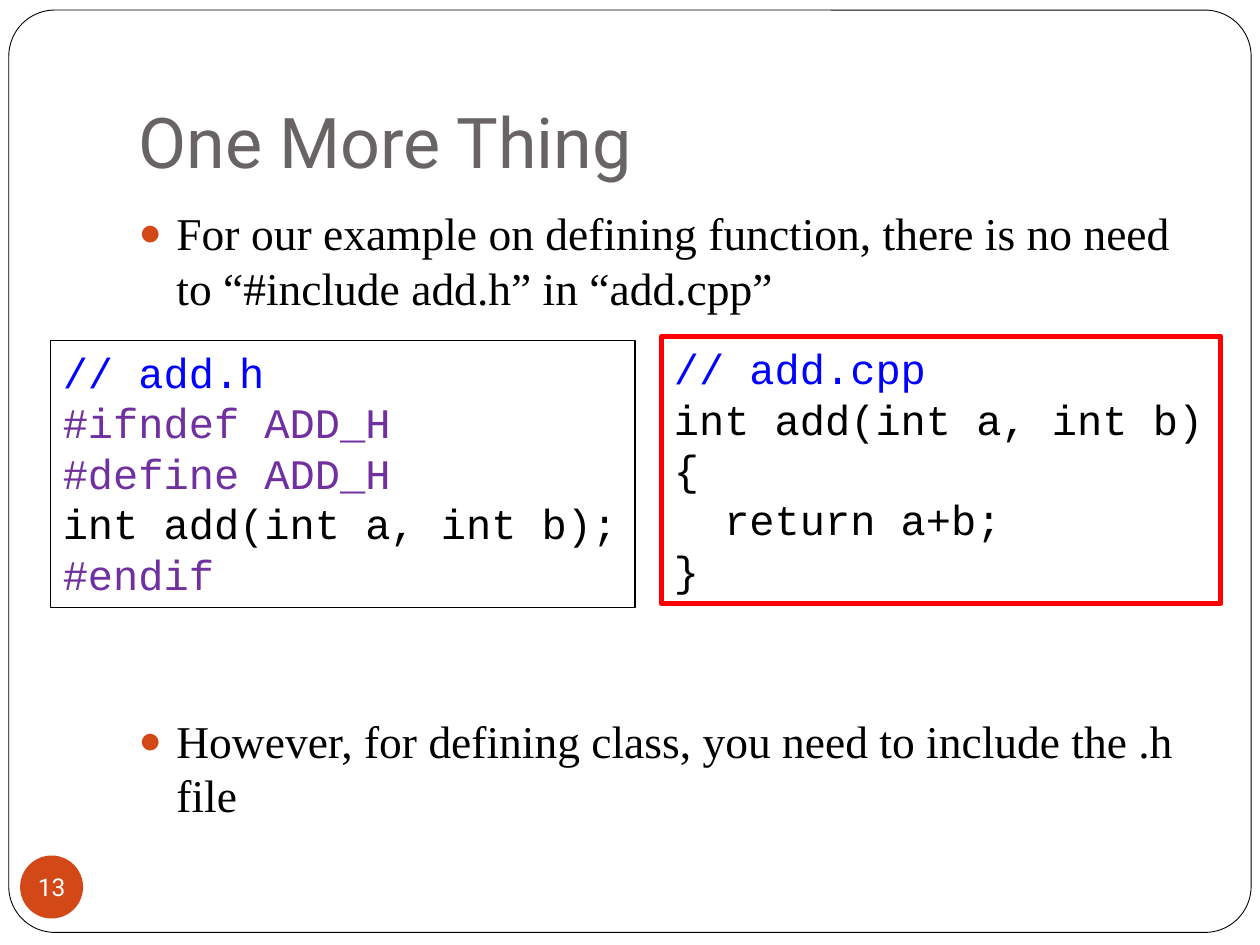
from lxml import etree
from pptx import Presentation
from pptx import util as u
from pptx.dml.color import RGBColor
from pptx.enum import shapes, text
from pptx.oxml import ns

WHITE = RGBColor(0xFF, 0xFF, 0xFF)
BLACK = RGBColor(0, 0, 0)
GRAY = RGBColor(0x69, 0x64, 0x64)
ORANGE = RGBColor(0xD3, 0x48, 0x17)
BLUE = RGBColor(0, 0, 0xFF)
PURPLE = RGBColor(0x70, 0x30, 0xA0)
RED = RGBColor(0xFF, 0, 0)
Inches, Pt = u.Inches, u.Pt


def apply(target, formats):
    for name, value in formats.items():
        setattr(target, name, value)


def place(shape, box):
    apply(shape, dict(zip(("left", "top", "width", "height"), map(Inches, box))))


def add_span(para, words, font, size, color):
    span = para.add_run()
    span.text = words
    apply(span.font, {"name": font, "size": Pt(size)})
    span.font.color.rgb = color


def add_shape(page, kind, box, fill):
    shape = page.shapes.add_shape(kind, *map(Inches, box))
    shape.shadow.inherit = False
    shape.fill.solid()
    shape.fill.fore_color.rgb = fill
    return shape


def add_frame(page, box):
    frame = add_shape(page, shapes.MSO_SHAPE.ROUNDED_RECTANGLE, box, WHITE)
    frame.adjustments[0] = 0.05
    frame.line.color.rgb = BLACK
    frame.line.width = Pt(0.5)
    page.shapes._spTree.insert(2, frame._element)


def add_title(page, box, words):
    title = page.shapes.title
    place(title, box)
    apply(title.text_frame, {
        "vertical_anchor": text.MSO_ANCHOR.BOTTOM,
        "auto_size": text.MSO_AUTO_SIZE.NONE,
        "margin_bottom": Inches(0.1),
    })
    para = title.text_frame.paragraphs[0]
    para.alignment = text.PP_ALIGN.LEFT
    add_span(para, words, "Roboto", 40, GRAY)


def set_bullet(para):
    props = para._p.get_or_add_pPr()
    props.set("marL", str(Inches(0.3)))
    props.set("indent", str(-Inches(0.3)))
    color = etree.SubElement(props, ns.qn("a:buClr"))
    etree.SubElement(color, ns.qn("a:srgbClr"), val=str(ORANGE))
    etree.SubElement(props, ns.qn("a:buSzPct"), val="85000")
    etree.SubElement(props, ns.qn("a:buFont"), typeface="Arial")
    etree.SubElement(props, ns.qn("a:buChar"), char="●")


def add_bullets(page, box, items):
    body = page.placeholders[1]
    place(body, box)
    frame = body.text_frame
    frame.auto_size = text.MSO_AUTO_SIZE.NONE
    for index, (words, gap) in enumerate(items):
        para = frame.add_paragraph() if index else frame.paragraphs[0]
        apply(para, {"space_before": Pt(gap), "line_spacing": Pt(31.1)})
        set_bullet(para)
        add_span(para, words, "Times New Roman", 26, BLACK)


def add_code(page, box, border, width, lines):
    code = page.shapes.add_textbox(*map(Inches, box))
    code.line.color.rgb = border
    code.line.width = Pt(width)
    frame = code.text_frame
    frame.word_wrap = False
    for index, (words, color) in enumerate(lines):
        para = frame.add_paragraph() if index else frame.paragraphs[0]
        para.line_spacing = Pt(28.8)
        add_span(para, words, "Courier New", 24, color)


def add_number(page, box, number):
    badge = add_shape(page, shapes.MSO_SHAPE.OVAL, box, ORANGE)
    badge.line.fill.background()
    frame = badge.text_frame
    sides = ("left", "top", "right", "bottom")
    apply(frame, {f"margin_{side}": 0 for side in sides})
    apply(frame, {"word_wrap": False, "vertical_anchor": text.MSO_ANCHOR.MIDDLE})
    para = frame.paragraphs[0]
    para.alignment = text.PP_ALIGN.CENTER
    add_span(para, number, "Roboto", 14, WHITE)


def build_code_page(deck):
    page = deck.slides.add_slide(deck.slide_layouts[1])
    add_frame(page, (0.07, 0.08, 9.86, 7.32))
    add_title(page, (1, 0.3, 8.5, 1.25), "One More Thing")
    add_number(page, (0.16, 6.79, 0.5, 0.5), "13")
    add_bullets(page, (1, 1.58, 8.5, 5), [
        ("For our example on defining function, there is no need "
         "to “#include add.h” in “add.cpp”", 5.8),
        ("However, for defining class, you need to include the .h file", 228),
    ])
    add_code(page, (0.4, 2.7, 4.64, 2.12), BLACK, 0.75, [
        ("// add.h", BLUE),
        ("#ifndef ADD_H", PURPLE),
        ("#define ADD_H", PURPLE),
        ("int add(int a, int b);", BLACK),
        ("#endif", PURPLE),
    ])
    add_code(page, (5.25, 2.67, 4.44, 2.12), RED, 3, [
        ("// add.cpp", BLUE),
        ("int add(int a, int b)", BLACK),
        ("{", BLACK),
        ("  return a+b;", BLACK),
        ("}", BLACK),
    ])


deck = Presentation()
apply(deck, {"slide_width": Inches(10), "slide_height": Inches(7.5)})
build_code_page(deck)
deck.save("out.pptx")
